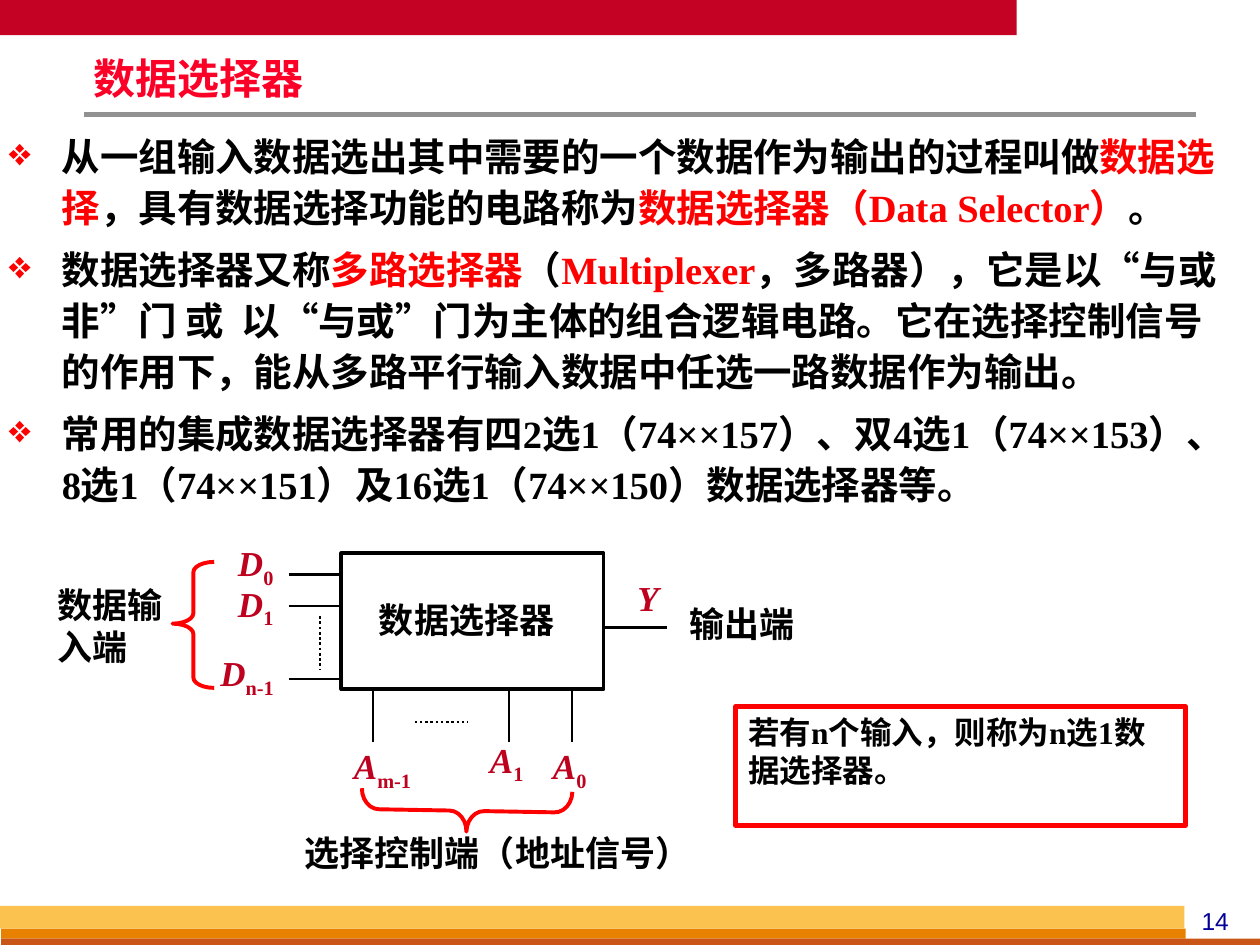
from lxml import etree
from pptx import Presentation, util as u
from pptx.dml.color import RGBColor
from pptx.enum import dml, shapes, text
from pptx.oxml import ns

deck = Presentation()
deck.slide_width, deck.slide_height = u.Inches(10), u.Inches(7.5)
page = deck.slides.add_slide(deck.slide_layouts[6])
cell = deck.slide_width // 100

BLACK, RED, CRIMSON = "000000", "FF0000", "BD011E"


def paint(fill, colour):
    fill.solid()
    fill.fore_color.rgb = RGBColor.from_string(colour)


def write(para, words, size=20, colour=BLACK, bold=True, italic=False, face="Times New Roman", lowered=False):
    span = para.add_run()
    span.text = words
    span.font.size = u.Pt(size)
    span.font.name = face
    span.font.bold, span.font.italic = bold, italic
    paint(span.font.fill, colour)
    if lowered:
        span._r.get_or_add_rPr().set("baseline", "-25000")


bands = [
    (0, 0, 80.7, 2.8, "C30224"),
    (0.1, 73.7, 94, 0.8, "E88000"),
    (0.1, 74.5, 100, 0.8, "C95616"),
    (0, 71.9, 94, 1.8, "FCC24F"),
]
for *area, colour in bands:
    band = page.shapes.add_shape(shapes.MSO_SHAPE.RECTANGLE, *[int(n * cell) for n in area])
    band.shadow.inherit = False
    paint(band.fill, colour)
    band.line.fill.background()

outlines = [
    (shapes.MSO_SHAPE.RECTANGLE, (27.1, 43.9, 20.8, 10.8), BLACK, 2.25, 0, []),
    (shapes.MSO_SHAPE.LEFT_BRACE, (13.7, 44.6, 3.3, 10), RED, 2.25, 0, [0.25, 0.49]),
    (shapes.MSO_SHAPE.LEFT_BRACE, (35.4, 56, 3.3, 16.7), RED, 2.25, 271, [0.42, 0.5]),
    (shapes.MSO_SHAPE.RECTANGLE, (58.4, 56.1, 35.7, 9.4), RED, 3, 0, []),
]
for kind, area, colour, weight, turn, bends in outlines:
    box = page.shapes.add_shape(kind, *[int(n * cell) for n in area])
    box.shadow.inherit = False
    box.fill.background()
    paint(box.line.fill, colour)
    box.line.width = u.Pt(weight)
    box.rotation = turn
    for i, bend in enumerate(bends):
        box.adjustments[i] = bend

paint(box.fill, "FFFFFF")
box.text_frame.vertical_anchor = text.MSO_ANCHOR.TOP
note = box.text_frame.paragraphs[0]
note.alignment = text.PP_ALIGN.LEFT
write(note, "若有n个输入，则称为n选1数据选择器。", size=18)

wires = [((6.7, 9.1, 94.9, 9.1), "919191", 3, False)]
wires += [((22.9, y, 27.1, y), BLACK, 1.5, False) for y in (45.6, 48.1, 53.9)]
wires += [((x, 54.8, x, 58.9), BLACK, 1.5, False) for x in (29.6, 40.4, 45.4)]
wires += [
    ((47.9, 49.8, 52.9, 49.8), BLACK, 1.5, False),
    ((25.4, 48.9, 25.4, 53.1), BLACK, 1.5, True),
    ((32.9, 57.3, 37.1, 57.3), BLACK, 1.5, True),
]
for ends, colour, weight, dotted in wires:
    wire = page.shapes.add_connector(shapes.MSO_CONNECTOR.STRAIGHT, *[int(n * cell) for n in ends])
    paint(wire.line.fill, colour)
    wire.line.width = u.Pt(weight)
    if dotted:
        wire.line.dash_style = dml.MSO_LINE.ROUND_DOT
    etree.SubElement(wire._element.spPr, ns.qn("a:effectLst"))

signals = [
    (17.9, 42.5, 5.8, "D", "0", True),
    (17.9, 45.7, 5.5, "D", "1", True),
    (16.5, 51.2, 7.5, "D", "n-1", True),
    (42.9, 58.6, 4.8, "A", "0", False),
    (37.9, 58.1, 5.5, "A", "1", True),
    (27.1, 58.6, 6.9, "A", "m-1", False),
    (49.6, 45.3, 3.7, "Y", "", False),
]
for x, y, width, letter, index, wrap in signals:
    box = page.shapes.add_textbox(*[int(n * cell) for n in (x, y, width, 4.3)])
    box.text_frame.word_wrap = wrap
    para = box.text_frame.paragraphs[0]
    write(para, letter, colour=CRIMSON, italic=True)
    if index:
        write(para, index, colour=CRIMSON, lowered=True)

labels = [
    ((29.1, 47, 16, 4.3), "数据选择器", False),
    ((3.6, 45.8, 11.4, 7.7), "数据输入端", True),
    ((53.7, 47.3, 12.5, 4.3), "输出端", True),
    ((23.2, 65.5, 32.8, 4.3), "选择控制端（地址信号）", False),
]
for area, words, wrap in labels:
    box = page.shapes.add_textbox(*[int(n * cell) for n in area])
    box.text_frame.word_wrap = wrap
    write(box.text_frame.paragraphs[0], words)

number = page.shapes.add_textbox(*[int(n * cell) for n in (93.3, 71.4, 6.3, 3.3)])
number.text_frame.word_wrap = True
number.text_frame.paragraphs[0].alignment = text.PP_ALIGN.CENTER
write(number.text_frame.paragraphs[0], "14", size=14, colour="000099", bold=False, face="Arial")

title = page.shapes.add_textbox(*[int(n * cell) for n in (6.7, 4.4, 57.5, 4)])
body = page.shapes.add_textbox(*[int(n * cell) for n in (0, 9.9, 98.8, 31)])
for box in (title, body):
    frame = box.text_frame
    frame.word_wrap = True
    frame.margin_left = frame.margin_right = u.Inches(0.07)
    frame.margin_top = frame.margin_bottom = u.Inches(0.03)

title.text_frame.paragraphs[0].line_spacing = 0.87
write(title.text_frame.paragraphs[0], "数据选择器", size=24, colour="FC0128")

points = [
    [
        ("从一组输入数据选出其中需要的一个数据作为输出的过程叫做", BLACK),
        ("数据选择", RED),
        ("，具有数据选择功能的电路称为", BLACK),
        ("数据选择器（Data Selector）", RED),
        ("。", BLACK),
    ],
    [
        ("数据选择器又称", BLACK),
        ("多路选择器", RED),
        ("（", BLACK),
        ("Multiplexer", RED),
        ("，多路器），它是以“与或非”门 或  以“与或”门为主体的组合逻辑电路。"
         "它在选择控制信号的作用下，能从多路平行输入数据中任选一路数据作为输出。", BLACK),
    ],
    [
        ("常用的集成数据选择器有四2选1（74××157）、双4选1（74××153）、"
         "8选1（74××151）及16选1（74××150）数据选择器等。", BLACK),
    ],
]
for i, point in enumerate(points):
    para = body.text_frame.add_paragraph() if i else body.text_frame.paragraphs[0]
    para.line_spacing = 1.1
    para.space_before = para.space_after = u.Pt(3.3)
    layout = para._p.get_or_add_pPr()
    layout.set("marL", str(u.Inches(0.42)))
    layout.set("indent", str(-u.Inches(0.42)))
    tint = etree.SubElement(layout, ns.qn("a:buClr"))
    etree.SubElement(tint, ns.qn("a:srgbClr"), val=RED)
    etree.SubElement(layout, ns.qn("a:buChar"), char="❖")
    for words, colour in point:
        write(para, words, size=22, colour=colour)

deck.save("out.pptx")
